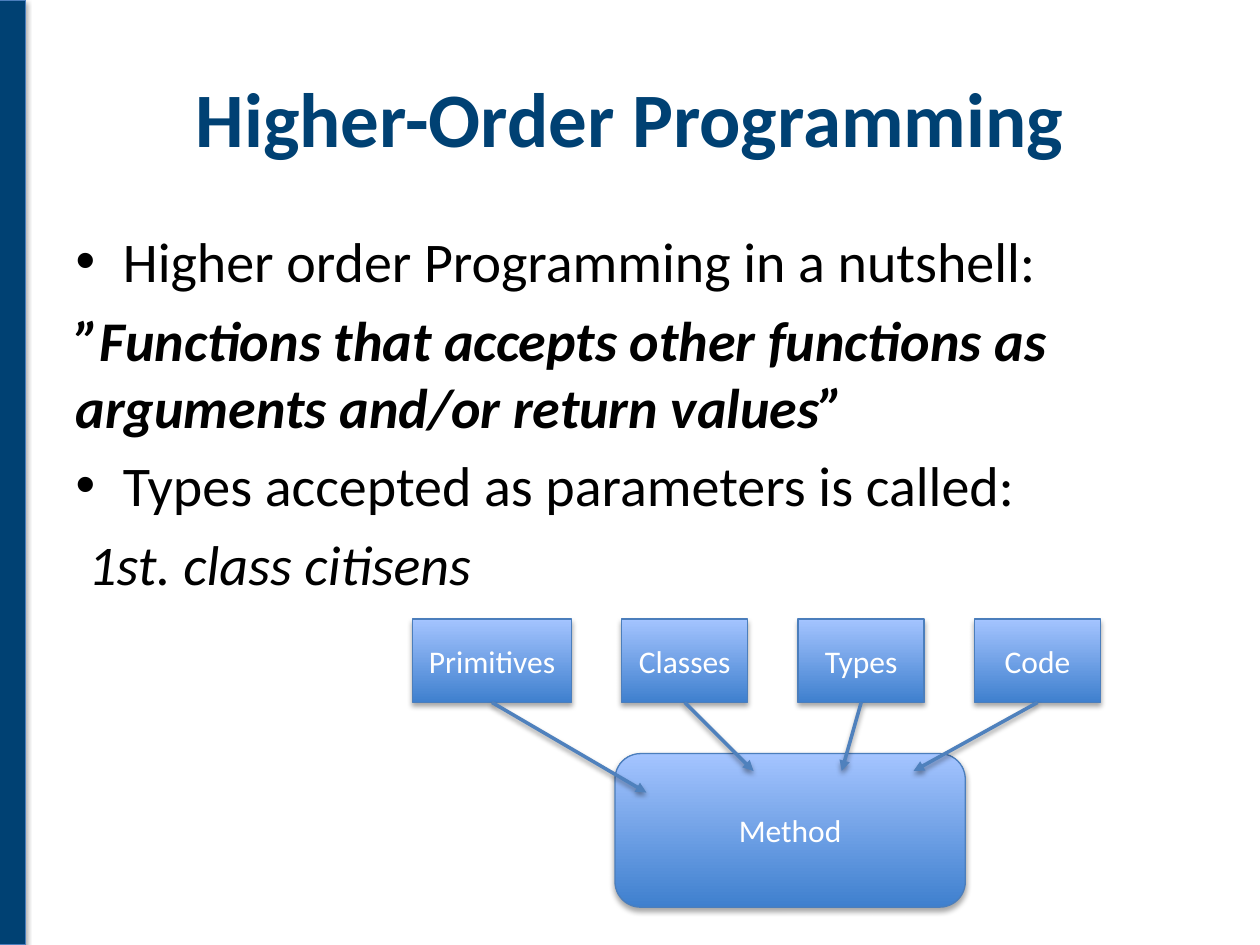
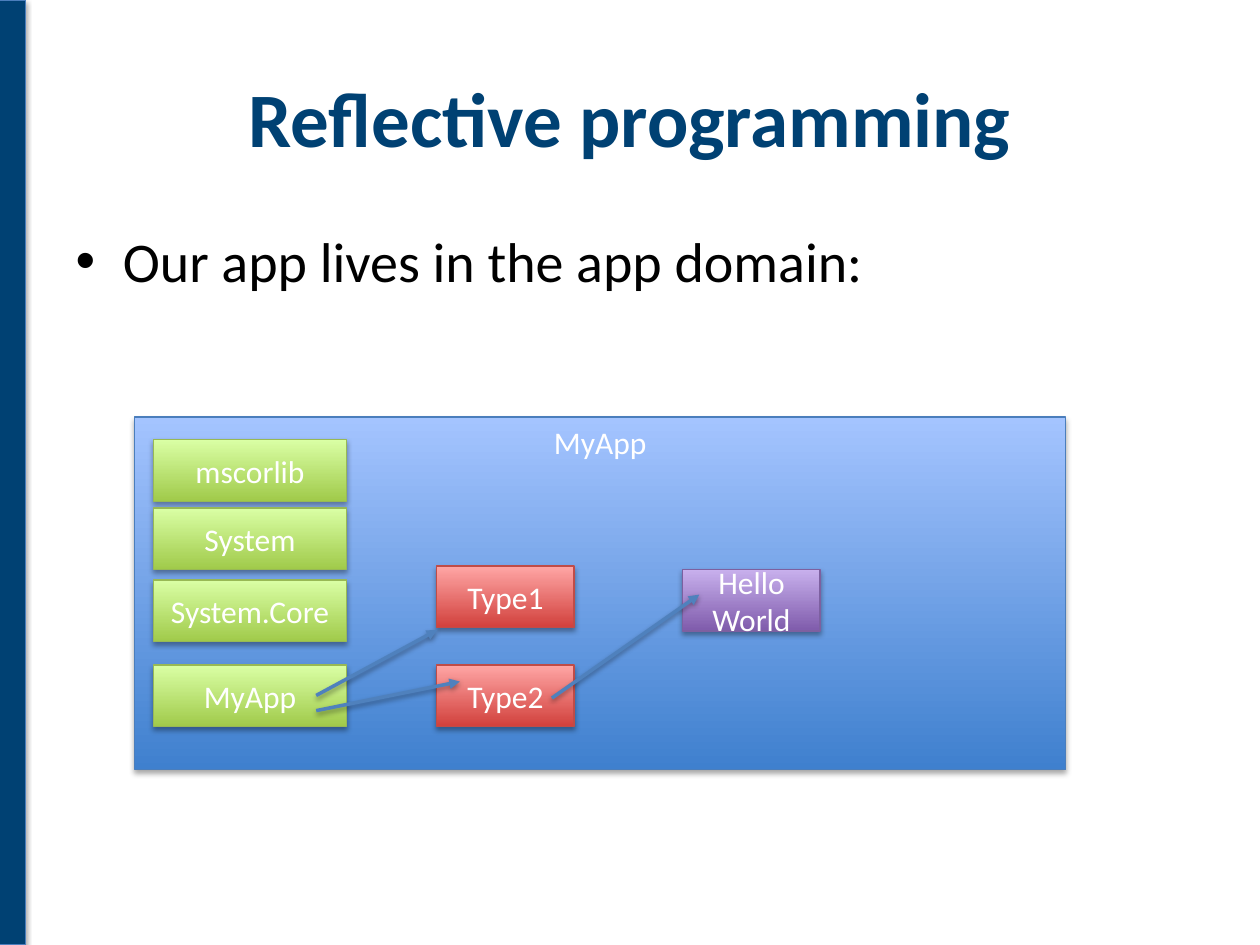
import pptx
import pptx.util
import pptx.oxml
import pptx.oxml.ns
import pptx.dml.color
import pptx.enum.shapes
import pptx.enum.text

Pt = pptx.util.Pt
RGBColor = pptx.dml.color.RGBColor
SHAPE = pptx.enum.shapes.MSO_SHAPE
ANCHOR = pptx.enum.text.MSO_ANCHOR
CENTER = pptx.enum.text.PP_ALIGN.CENTER
qn = pptx.oxml.ns.qn

# Colours and font
FONT = "Calibri"
NAVY = RGBColor(0x00, 0x41, 0x73)
BLACK = RGBColor(0x00, 0x00, 0x00)
WHITE = RGBColor(0xFF, 0xFF, 0xFF)
ARROW_BLUE = RGBColor(0x4F, 0x81, 0xBD)
BAND_LINE = RGBColor(0x4B, 0x7E, 0xBC)
# Each palette: bottom colour, top colour, outline
BLUE = (RGBColor(0x3F, 0x80, 0xCE), RGBColor(0xA4, 0xC4, 0xFF), BAND_LINE)
GREEN = (RGBColor(0xA0, 0xCA, 0x4A), RGBColor(0xDA, 0xFF, 0xA5), RGBColor(0x98, 0xB9, 0x55))
RED = (RGBColor(0xD1, 0x40, 0x3C), RGBColor(0xFF, 0xA6, 0xA5), RGBColor(0xBF, 0x4C, 0x48))
PURPLE = (RGBColor(0x7F, 0x5B, 0xAB), RGBColor(0xC8, 0xB0, 0xED), RGBColor(0x7D, 0x60, 0xA0))

# Slide 1 content
HIGHER_ORDER_TITLE = "Higher-Order Programming"
HIGHER_ORDER_LINES = [
    ("Higher order Programming in a nutshell:", {}),
    ("”Functions that accepts other functions as arguments and/or return values”",
     {"bold": True, "italic": True, "bullet": False}),
    ("Types accepted as parameters is called:", {}),
    (" 1st. class citisens", {"italic": True, "bullet": False}),
]
METHOD_BOX = (351.4, 430.6, 200.2, 87.8)
ARGUMENTS = [  # label, width, arrow tip inside the method box
    ("Primitives", 90.7, (369.4, 452.9)),
    ("Classes", 72, (430.6, 440.6)),
    ("Types", 72, (481, 440.6)),
    ("Code", 72, (522, 440.6)),
]
ARGUMENT_LEFT, ARGUMENT_TOP, ARGUMENT_HEIGHT, ARGUMENT_GAP = 235.8, 353.8, 47.6, 28.8

# Slide 2 content
REFLECTIVE_TITLE = "Reflective programming"
REFLECTIVE_LINES = [("Our app lives in the app domain:", {})]
DOMAIN_BOX = (77, 238.3, 532, 201.6)
NODE_HEIGHT = 35.3
NODE_COLUMNS = [  # palette, left, width, (label, top) pairs
    (GREEN, 87.8, 110.2, [("mscorlib", 251.2), ("System", 290.2),
                          ("System.Core", 331.4), ("MyApp", 380)]),
    (RED, 249.6, 78.5, [("Type1", 323.5), ("Type2", 380)]),
    (PURPLE, 390.2, 78.5, [("Hello World", 325.4)]),
]
REFERENCES = [
    ((180.7, 397.4), (249.8, 360)),
    ((180.7, 406.1), (262.8, 389.5)),
    ((315.4, 398.9), (399.6, 339.8)),
]


def write_text(para, text, size=18, color=WHITE, bold=False, italic=False,
               align=None, bullet=True):
    """Put one formatted span into a paragraph."""
    span = para.add_run()
    span.text = text
    font = span.font
    font.name, font.size, font.bold, font.italic = FONT, Pt(size), bold, italic
    font.color.rgb = color
    if align is not None:
        para.alignment = align
    if not bullet:
        props = para._p.get_or_add_pPr()
        props.set("marL", "0")
        props.set("indent", "0")
        props.append(pptx.oxml.parse_xml(f"<a:buNone {pptx.oxml.ns.nsdecls('a')}/>"))


def add_shadow(shape, distance=1.8, opacity=35):
    props = shape.element.spPr
    props.append(pptx.oxml.parse_xml(
        f"<a:effectLst {pptx.oxml.ns.nsdecls('a')}>"
        f'<a:outerShdw blurRad="{Pt(3.1)}" dist="{Pt(distance)}" dir="5400000" rotWithShape="0">'
        f'<a:srgbClr val="000000"><a:alpha val="{opacity * 1000}"/></a:srgbClr>'
        "</a:outerShdw></a:effectLst>"))


def add_box(slide, bounds, label, palette, kind=SHAPE.RECTANGLE, anchor=ANCHOR.MIDDLE):
    box = slide.shapes.add_shape(kind, *map(Pt, bounds))
    bottom, top, outline = palette
    box.fill.gradient()
    box.fill.gradient_angle = 90
    for stop, position, color in zip(box.fill.gradient_stops, (0, 1), (bottom, top)):
        stop.position, stop.color.rgb = position, color
    box.line.color.rgb, box.line.width = outline, Pt(0.75)
    add_shadow(box)
    frame = box.text_frame
    frame.word_wrap, frame.vertical_anchor = True, anchor
    write_text(frame.paragraphs[0], label, align=CENTER)
    return box


def add_arrow(slide, start, end):
    arrow = slide.shapes.add_connector(
        pptx.enum.shapes.MSO_CONNECTOR.STRAIGHT, *map(Pt, start + end))
    arrow.line.color.rgb, arrow.line.width = ARROW_BLUE, Pt(2)
    arrow.element.spPr.find(qn("a:ln")).append(pptx.oxml.parse_xml(
        f"<a:tailEnd {pptx.oxml.ns.nsdecls('a')} type=\"triangle\"/>"))
    add_shadow(arrow, distance=1.6, opacity=38)
    return arrow


def place(shape, left, top, width, height):
    shape.left, shape.top, shape.width, shape.height = map(Pt, (left, top, width, height))


def add_page(deck, title, lines):
    page = deck.slides.add_slide(deck.slide_layouts[1])
    heading, body = page.placeholders
    place(heading, 36, 21.6, 648, 90)
    place(body, 36, 126, 648, 356.4)
    write_text(heading.text_frame.paragraphs[0], title, size=44, color=NAVY,
               bold=True, align=CENTER)
    frame = body.text_frame
    for index, (text, style) in enumerate(lines):
        para = frame.add_paragraph() if index else frame.paragraphs[0]
        write_text(para, text, size=32, color=BLACK, **style)
    return page


def move_band_to_master(deck, page):
    """Draw the side band and hand it to the master, so every page shows it."""
    band = page.shapes.add_shape(SHAPE.RECTANGLE, Pt(-8.6), Pt(0), Pt(23), Pt(540))
    band.fill.solid()
    band.fill.fore_color.rgb = NAVY
    band.line.color.rgb, band.line.width = BAND_LINE, Pt(0.75)
    add_shadow(band)
    deck.slide_master.shapes.element.insert(2, band.element)


def build_higher_order(deck):
    page = add_page(deck, HIGHER_ORDER_TITLE, HIGHER_ORDER_LINES)
    move_band_to_master(deck, page)
    add_box(page, METHOD_BOX, "Method", BLUE, kind=SHAPE.ROUNDED_RECTANGLE)

    # Row of arguments, each pointing into the method
    left, bottom = ARGUMENT_LEFT, ARGUMENT_TOP + ARGUMENT_HEIGHT
    arrows = []
    for label, width, tip in ARGUMENTS:
        box = add_box(page, (left, ARGUMENT_TOP, width, ARGUMENT_HEIGHT), label, BLUE)
        arrows.append((box, (left + width / 2, bottom), tip))
        left += width + ARGUMENT_GAP
    for box, start, tip in arrows:
        add_arrow(page, start, tip).begin_connect(box, 2)


def build_reflective(deck):
    page = add_page(deck, REFLECTIVE_TITLE, REFLECTIVE_LINES)
    add_box(page, DOMAIN_BOX, "MyApp", BLUE, anchor=ANCHOR.TOP)

    # Assemblies, types and members inside the app domain
    for palette, left, width, nodes in NODE_COLUMNS:
        for label, top in nodes:
            add_box(page, (left, top, width, NODE_HEIGHT), label, palette)
    for start, end in REFERENCES:
        add_arrow(page, start, end)


def main():
    deck = pptx.Presentation()
    deck.slide_width, deck.slide_height = Pt(720), Pt(540)
    build_higher_order(deck)
    build_reflective(deck)
    deck.save("out.pptx")


if __name__ == "__main__":
    main()
